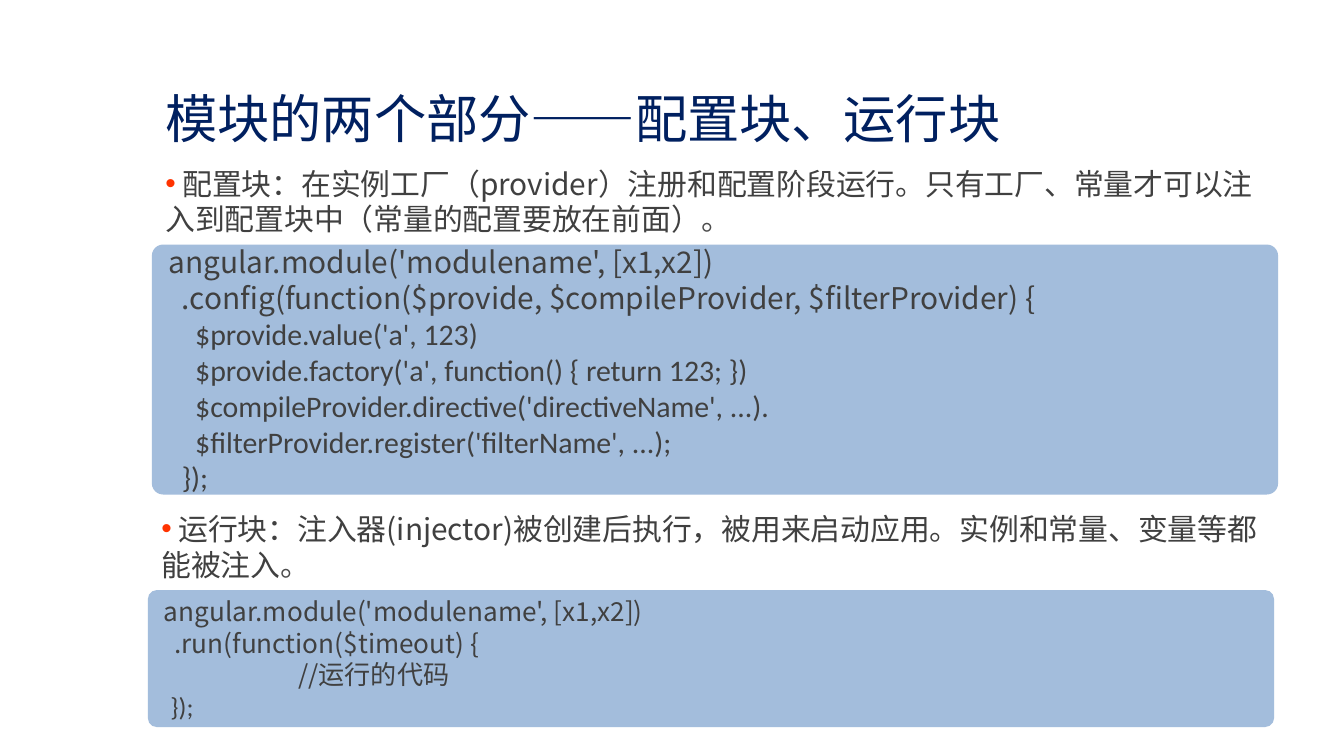
from lxml.etree import SubElement
from pptx import Presentation
from pptx.dml.color import RGBColor
from pptx.enum.shapes import MSO_SHAPE
from pptx.enum.text import MSO_ANCHOR, MSO_AUTO_SIZE, PP_ALIGN
from pptx.oxml.ns import qn
from pptx.util import Inches, Pt

TITLE = "模块的两个部分——配置块、运行块"
PARTS = [
    {
        "text": "配置块：在实例工厂（provider）注册和配置阶段运行。只有工厂、常量才可以注入到配置块中（常量的配置要放在前面）",
        "left": 1.13, "top": 1.18, "tall": 1.86, "size": 16, "round": 0.045,
        "code": [
            (0, "cjk", "angular.module('modulename', [x1,x2])"),
            (0.1, "cjk", ".config(function($provide, $compileProvider, $filterProvider) {"),
            (0.2, "latin", "$provide.value('a', 123)"),
            (0.2, "latin", "$provide.factory('a', function() { return 123; })"),
            (0.2, "latin", "$compileProvider.directive('directiveName', ...)."),
            (0.2, "latin", "$filterProvider.register('filterName', ...);"),
            (0.1, "latin", "});"),
        ],
    },
    {
        "text": "运行块：注入器(injector)被创建后执行，被用来启动应用。实例和常量、变量等都能被注入",
        "left": 1.1, "top": 3.75, "tall": 1.02, "size": 14, "round": 0.066,
        "code": [
            (0, "cjk", "angular.module('modulename', [x1,x2])"),
            (0.08, "cjk", ".run(function($timeout) {"),
            (1, "cjk", "//运行的代码"),
            (0.05, "latin", "});"),
        ],
    },
]
THEME = {
    "cjk": "Noto Sans CJK SC", "latin": "Calibri",
    "title": "002060", "text": "404040", "soft": "4D4D4D",
    "dot": "FF3300", "panel": "4F81BD", "alpha": 52,
    "head": 28, "body": 16, "pitch": 1.2,
}
WIDE, HIGH = 8.38, 0.64
FRAME = {
    "word_wrap": True, "auto_size": MSO_AUTO_SIZE.NONE,
    "margin_left": Inches(0.1), "margin_right": Inches(0.1),
    "margin_top": Inches(0.05), "margin_bottom": Inches(0.05),
}


def apply(item, values):
    for name, value in values.items():
        setattr(item, name, value)


def place(shape, left, top, wide, high):
    spots = zip(("left", "top", "width", "height"), (left, top, wide, high))
    apply(shape, {name: Inches(value) for name, value in spots})


def frame(shape, anchor):
    apply(shape.text_frame, {**FRAME, "vertical_anchor": anchor})
    return shape.text_frame


def layout(para, size, indent=0):
    apply(para, {
        "alignment": PP_ALIGN.LEFT, "space_before": Pt(0),
        "space_after": Pt(0), "line_spacing": Pt(round(size * THEME["pitch"], 1)),
    })
    props = para._p.get_or_add_pPr()
    props.set("marL", str(Inches(indent)))
    props.set("indent", "0")
    return props


def write(para, text, size, color, face="cjk"):
    run = para.add_run()
    run.text = text
    apply(run.font, {"size": Pt(size), "name": THEME[face]})
    run.font.color.rgb = RGBColor.from_string(THEME[color])
    east = SubElement(run._r.get_or_add_rPr(), qn("a:ea"))
    east.set("typeface", THEME["cjk"])


def bullet(shape, text):
    para = frame(shape, MSO_ANCHOR.TOP).paragraphs[0]
    props = layout(para, THEME["body"])
    tint = SubElement(props, qn("a:buClr"))
    SubElement(tint, qn("a:srgbClr")).set("val", THEME["dot"])
    SubElement(props, qn("a:buFont")).set("typeface", "Arial")
    SubElement(props, qn("a:buChar")).set("char", "•")
    for piece, color in ((" ", "soft"), (text, "text"), ("。", "soft")):
        write(para, piece, THEME["body"], color)


def panel(slide, part):
    box = slide.shapes.add_shape(MSO_SHAPE.ROUNDED_RECTANGLE, 0, 0, 0, 0)
    place(box, part["left"], part["top"] + HIGH, WIDE, part["tall"])
    box.adjustments[0] = part["round"]
    box.shadow.inherit = False
    box.line.fill.background()
    box.fill.solid()
    box.fill.fore_color.rgb = RGBColor.from_string(THEME["panel"])
    tint = box._element.spPr.find(qn("a:solidFill"))[0]
    SubElement(tint, qn("a:alpha")).set("val", str(THEME["alpha"] * 1000))
    body = frame(box, MSO_ANCHOR.MIDDLE)
    for row, (indent, face, text) in enumerate(part["code"]):
        para = body.add_paragraph() if row else body.paragraphs[0]
        layout(para, part["size"], indent)
        write(para, text, part["size"], "text", face)


def main():
    deck = Presentation()
    wide = Inches(10)
    apply(deck, {"slide_width": wide, "slide_height": wide * 9 // 16})
    slide = deck.slides.add_slide(deck.slide_layouts[3])
    title, *lists = slide.placeholders
    place(title, 1.13, 0.59, 7.56, 0.57)
    para = frame(title, MSO_ANCHOR.TOP).paragraphs[0]
    layout(para, THEME["head"])
    write(para, TITLE, THEME["head"], "title")
    for shape, part in zip(lists, PARTS):
        place(shape, part["left"], part["top"], WIDE, HIGH)
        bullet(shape, part["text"])
        panel(slide, part)
    deck.save("out.pptx")


if __name__ == "__main__":
    main()
